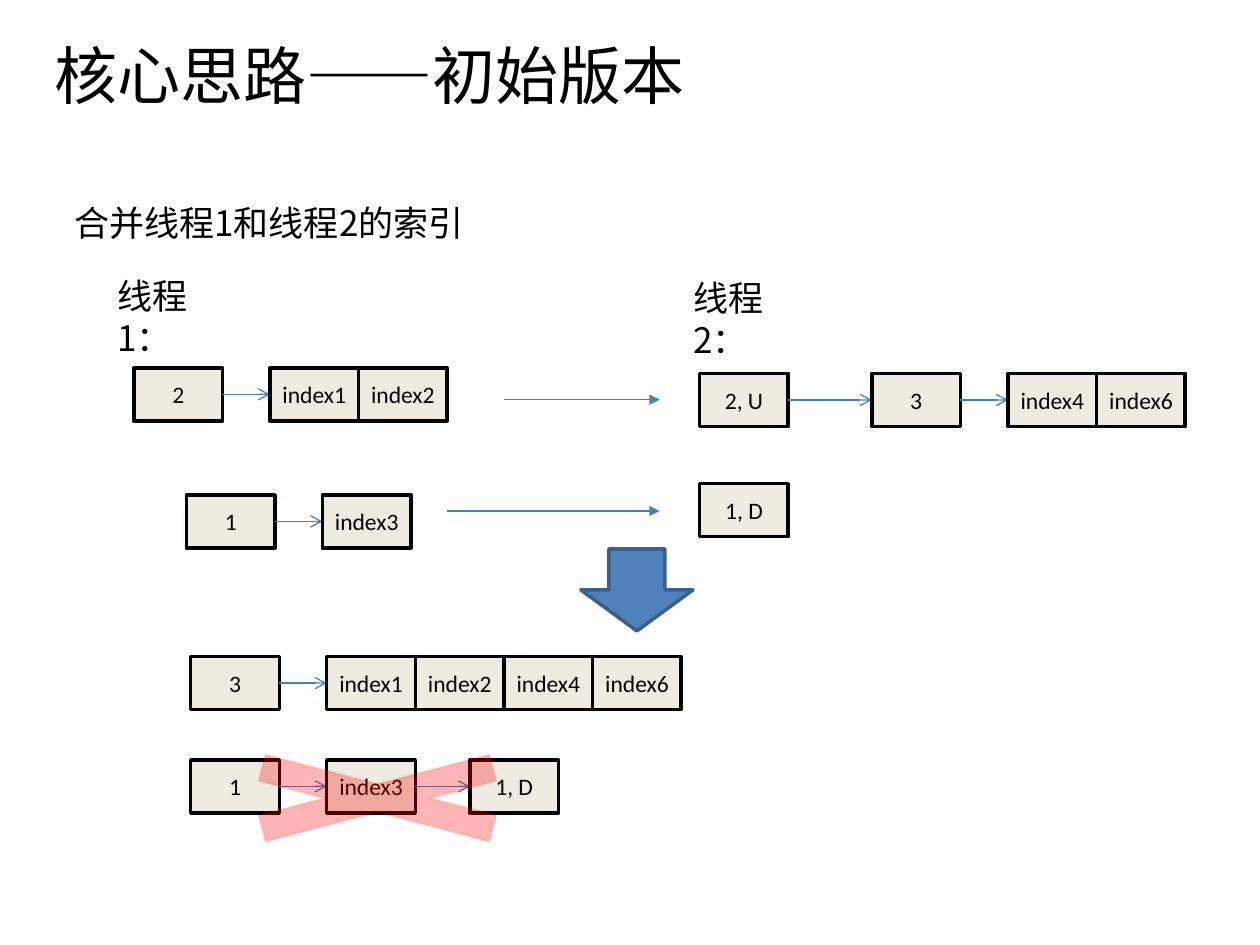
from dataclasses import dataclass

from lxml import etree
from pptx import Presentation
from pptx import util as u
from pptx.dml import color
from pptx.enum import shapes, text
from pptx.oxml import ns


@dataclass(frozen=True)
class Theme:
    ink: str = "000000"
    cell: str = "EEECE1"
    link: str = "4B7EBC"
    merge: str = "4F81BD"
    merge_edge: str = "3A5F8C"
    cross: str = "FF0000"
    heading_font: str = "Noto Sans CJK SC"
    cell_font: str = "Calibri"
    title_size: float = 36
    label_size: float = 20
    cell_size: float = 13.5


theme = Theme()
Pt = u.Pt
RGB = color.RGBColor.from_string


def write_text(box, words, font=theme.heading_font, size=theme.label_size,
               align=text.PP_ALIGN.LEFT, anchor=text.MSO_ANCHOR.TOP,
               margins=(7.2, 3.6, 7.2, 3.6)):
    frame = box.text_frame
    frame.word_wrap = True
    frame.auto_size = text.MSO_AUTO_SIZE.NONE
    frame.vertical_anchor = anchor
    (frame.margin_left, frame.margin_top,
     frame.margin_right, frame.margin_bottom) = map(Pt, margins)
    para = frame.paragraphs[0]
    para.alignment = align
    span = para.add_run()
    span.text = words
    span.font.name = font
    span.font.size = Pt(size)
    span.font.color.rgb = RGB(theme.ink)
    east_asian = etree.SubElement(span.font._element, ns.qn("a:ea"))
    east_asian.set("typeface", font)


def draw_arrow(page, start, end, y, head):
    arrow = page.shapes.add_connector(
        shapes.MSO_CONNECTOR.STRAIGHT, Pt(start), Pt(y), Pt(end), Pt(y))
    arrow.line.color.rgb = RGB(theme.link)
    arrow.line.width = Pt(0.75)
    properties = arrow._element.spPr
    line = properties.find(ns.qn("a:ln"))
    etree.SubElement(line, ns.qn("a:tailEnd")).set("type", head)
    etree.SubElement(properties, ns.qn("a:effectLst"))


deck = Presentation()
deck.slide_width, deck.slide_height = Pt(720), Pt(540)
page = deck.slides.add_slide(deck.slide_layouts[5])

title = page.shapes.title
title.left, title.top, title.width, title.height = map(Pt, (23.8, 17.3, 383.8, 51))
write_text(title, "核心思路——初始版本", size=theme.title_size)

labels = [
    (35.3, 111.6, 313.9, 7.2, "合并线程1和线程2的索引"),
    (59.8, 153.4, 94.3, 28.8, "线程1："),
    (389.2, 154.4, 94.3, 28.8, "线程2："),
]
for left, top, width, right_margin, words in labels:
    box = page.shapes.add_textbox(Pt(left), Pt(top), Pt(width), Pt(31.5))
    write_text(box, words, margins=(7.2, 3.6, right_margin, 3.6))

cell_width, cell_height = 50.65, 30.3
chains = [
    (210.2, [(76.5, ["2"]), (154.2, ["index1", "index2"])]),
    (282.8, [(106.5, ["1"]), (184.2, ["index3"])]),
    (213.4, [(399.8, ["2, U"]), (498.2, ["3"]), (576, ["index4", "index6"])]),
    (276.4, [(399.8, ["1, D"])]),
    (375.2, [(109, ["3"]), (186.7, ["index1", "index2", "index4", "index6"])]),
    (434.2, [(109, ["1"]), (186.7, ["index3"]), (268.5, ["1, D"])]),
]
for top, groups in chains:
    previous_end = None
    for left, entries in groups:
        if previous_end is not None:
            draw_arrow(page, previous_end, left, top + cell_height / 2, "arrow")
        for column, words in enumerate(entries):
            cell = page.shapes.add_shape(
                shapes.MSO_SHAPE.RECTANGLE, Pt(left + column * cell_width),
                Pt(top), Pt(cell_width), Pt(cell_height))
            cell.shadow.inherit = False
            cell.fill.solid()
            cell.fill.fore_color.rgb = RGB(theme.cell)
            cell.line.color.rgb = RGB(theme.ink)
            cell.line.width = Pt(2)
            write_text(cell, words, theme.cell_font, theme.cell_size,
                       text.PP_ALIGN.CENTER, text.MSO_ANCHOR.MIDDLE, (0, 0, 0, 0))
        previous_end = left + len(entries) * cell_width

for start, y in [(288, 228.4), (255.4, 292)]:
    draw_arrow(page, start, 377, y, "triangle")

symbols = [
    (shapes.MSO_SHAPE.MATH_MULTIPLY, (88.6, 422.6, 254.2, 67),
     theme.cross, theme.cross, (29, 4)),
    (shapes.MSO_SHAPE.DOWN_ARROW, (331.9, 313.7, 64.1, 46.8),
     theme.merge, theme.merge_edge, (100, 100)),
]
for kind, place, fill, edge, opacities in symbols:
    symbol = page.shapes.add_shape(kind, *map(Pt, place))
    symbol.shadow.inherit = False
    symbol.fill.solid()
    symbol.fill.fore_color.rgb = RGB(fill)
    symbol.line.color.rgb = RGB(edge)
    symbol.line.width = Pt(2)
    paints = symbol._element.spPr.iter(ns.qn("a:srgbClr"))
    for paint, opacity in zip(paints, opacities):
        if opacity < 100:
            etree.SubElement(paint, ns.qn("a:alpha")).set("val", str(opacity * 1000))

deck.save("out.pptx")
